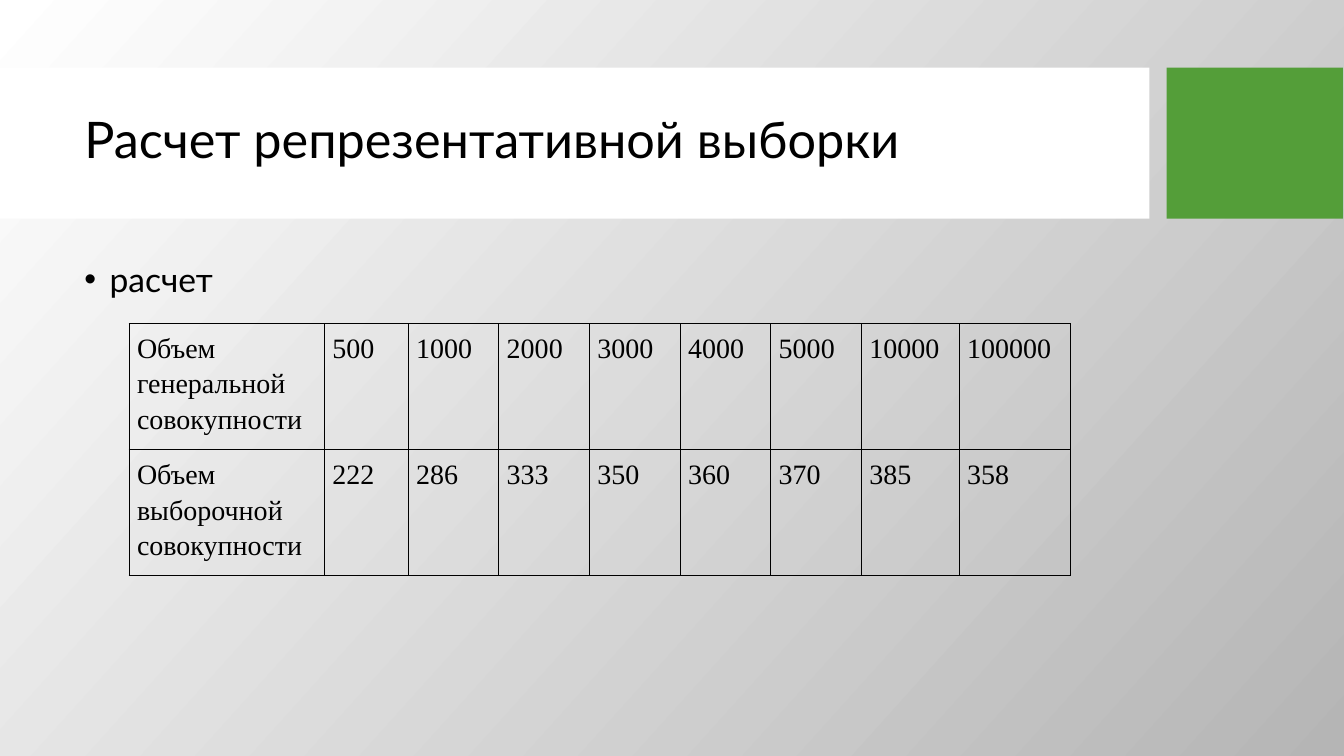
"""Build a slide with a table of representative sample sizes."""
from lxml.etree import SubElement
from pptx import Presentation
from pptx.dml.color import RGBColor
from pptx.enum.shapes import MSO_SHAPE
from pptx.enum.text import MSO_ANCHOR
from pptx.oxml.ns import qn
from pptx.util import Inches, Pt

THEME = {
    "black": RGBColor.from_string("000000"),
    "white": RGBColor.from_string("FFFFFF"),
    "gray": RGBColor.from_string("B5B5B5"),
    "green": RGBColor.from_string("549E39"),
    "title": {"name": "Lato", "size": Pt(36)},
    "body": {"name": "Lato", "size": Pt(24)},
    "cell": {"name": "Times New Roman", "size": Pt(20)},
    "border": Pt(0.45),
}


def write(frame, text, style, spacing):
    """Put one styled paragraph into a text frame and return it."""
    frame.word_wrap = True
    para = frame.paragraphs[0]
    para.line_spacing = spacing
    span = para.add_run()
    span.text = text
    for key, value in THEME[style].items():
        setattr(span.font, key, value)
    span.font.color.rgb = THEME["black"]
    return para


def add_borders(cell):
    """Draw a thin line on all four sides of a cell."""
    properties = cell._tc.get_or_add_tcPr()
    for side in ("a:lnL", "a:lnR", "a:lnT", "a:lnB"):
        line = SubElement(properties, qn(side), w=str(THEME["border"]))
        fill = SubElement(line, qn("a:solidFill"))
        SubElement(fill, qn("a:srgbClr"), val=str(THEME["black"]))


deck = Presentation()
deck.slide_width, deck.slide_height = Inches(13.34), Inches(7.5)
page = deck.slides.add_slide(deck.slide_layouts[6])

backdrop = page.background.fill
backdrop.gradient()
backdrop.gradient_angle = 360 - 42
for stop, color in zip(backdrop.gradient_stops, ("white", "gray")):
    stop.color.rgb = THEME[color]

for left, width, color in ((0, 11.41, "white"), (11.58, 1.75, "green")):
    band = page.shapes.add_shape(
        MSO_SHAPE.RECTANGLE, Inches(left), Inches(0.67), Inches(width), Inches(1.5))
    band.shadow.inherit = False
    band.fill.solid()
    band.fill.fore_color.rgb = THEME[color]
    band.line.fill.background()

title_box = page.shapes.add_textbox(Inches(0.74), Inches(0.82), Inches(10.51), Inches(1.18))
title_box.text_frame.vertical_anchor = MSO_ANCHOR.MIDDLE
write(title_box.text_frame, "Расчет репрезентативной выборки", "title", 0.9)

body_box = page.shapes.add_textbox(Inches(0.74), Inches(2.56), Inches(10.51), Inches(3.94))
bullet_para = write(body_box.text_frame, "расчет", "body", 0.9)
bullet = bullet_para._p.get_or_add_pPr()
bullet.set("marL", str(Inches(0.25)))
bullet.set("indent", str(Inches(-0.25)))
bullet_color = SubElement(bullet, qn("a:buClr"))
SubElement(bullet_color, qn("a:srgbClr"), val=str(THEME["black"]))
SubElement(bullet, qn("a:buFont"), typeface="Arial")
SubElement(bullet, qn("a:buChar"), char="•")

rows = (
    ("Объем генеральной совокупности", 500, 1000, 2000, 3000, 4000, 5000, 10000, 100000),
    ("Объем выборочной совокупности", 222, 286, 333, 350, 360, 370, 385, 358),
)
widths = (1.94, 0.83, *[0.9] * 5, 0.97, 1.1)
cell_format = {
    "margin_left": Inches(0.08),
    "margin_right": Inches(0.08),
    "margin_top": Inches(0.05),
    "margin_bottom": Inches(0.05),
}
table = page.shapes.add_table(
    len(rows), len(widths), Inches(1.28), Inches(3.21), Inches(9.33), Inches(2.3)).table
table.first_row = False
table.horz_banding = False
for column, width in zip(table.columns, widths):
    column.width = Inches(width)
for row_index, values in enumerate(rows):
    for column_index, value in enumerate(values):
        cell = table.cell(row_index, column_index)
        for key, setting in cell_format.items():
            setattr(cell, key, setting)
        add_borders(cell)
        cell.fill.background()
        write(cell.text_frame, str(value), "cell", 1.15)

deck.save("out.pptx")
